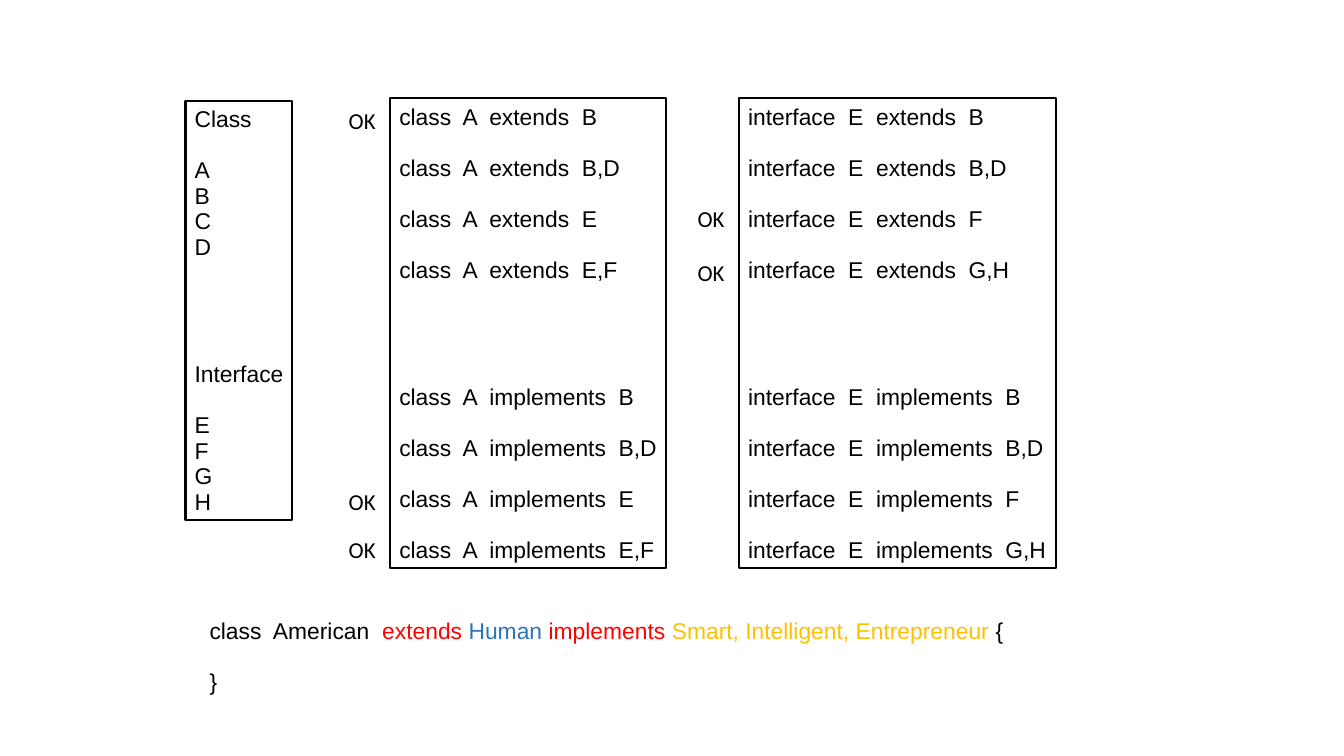
from dataclasses import dataclass

from pptx import Presentation
from pptx import util as u
from pptx.dml.color import RGBColor
from pptx.enum import shapes, text


@dataclass(frozen=True)
class Theme:
    black: str = "000000"
    red: str = "FF0000"
    blue: str = "2E75B6"
    gold: str = "FFC000"
    code_font: str = "Arial"
    mark_font: str = "Calibri"
    size: float = 16.3
    line_spacing: float = 0.93
    line_pitch: float = 18.2
    border: float = 1.45


THEME = Theme()
VERBS = ("extends", "implements")


def set_values(target, values):
    for name, value in values.items():
        setattr(target, name, value)


def write_lines(frame, lines, font_name):
    """Fill a frame from (blank lines above, [(text, colour), ...]) pairs."""
    for index, (gap, runs) in enumerate(lines):
        paragraph = frame.paragraphs[0] if index == 0 else frame.add_paragraph()
        set_values(paragraph, {
            "alignment": text.PP_ALIGN.LEFT,
            "line_spacing": THEME.line_spacing,
            "space_before": u.Pt(gap * THEME.line_pitch),
        })
        for words, colour in runs:
            run = paragraph.add_run()
            run.text = words
            set_values(run.font, {"name": font_name, "size": u.Pt(THEME.size)})
            run.font.color.rgb = RGBColor.from_string(colour)


def add_code_box(slide, box, lines):
    """Draw an outlined box holding (blank lines above, text) pairs."""
    shape = slide.shapes.add_shape(shapes.MSO_SHAPE.RECTANGLE, *map(u.Inches, box))
    shape.shadow.inherit = False
    shape.fill.background()
    shape.line.color.rgb = RGBColor.from_string(THEME.black)
    shape.line.width = u.Pt(THEME.border)
    set_values(shape.text_frame, {
        "word_wrap": False,
        "vertical_anchor": text.MSO_ANCHOR.MIDDLE,
        "margin_left": u.Inches(0.09),
        "margin_top": u.Inches(0.06),
        "margin_right": u.Inches(0.09),
        "margin_bottom": u.Inches(0.04),
    })
    coloured = [(gap, [(words, THEME.black)]) for gap, words in lines]
    write_lines(shape.text_frame, coloured, THEME.code_font)


def add_text(slide, box, lines, font_name):
    frame = slide.shapes.add_textbox(*map(u.Inches, box)).text_frame
    set_values(frame, {
        "word_wrap": False,
        "auto_size": text.MSO_AUTO_SIZE.SHAPE_TO_FIT_TEXT,
    })
    write_lines(frame, lines, font_name)


def add_name_list(slide, box):
    lines = []
    for heading, names, gap in (("Class", "ABCD", 0), ("Interface", "EFGH", 4)):
        lines.append((gap, heading))
        lines += [(1 if index == 0 else 0, name) for index, name in enumerate(names)]
    add_code_box(slide, box, lines)


def add_declarations(slide, box, subject, targets, ok_offsets):
    """List every verb and target, with OK marks left of the box."""
    left, top, width, height = box
    lines = []
    for verb in VERBS:
        for index, target in enumerate(targets):
            gap = 1 if index else 4 if lines else 0
            lines.append((gap, f"{subject}  {verb}  {target}"))
    add_code_box(slide, box, lines)
    for offset in ok_offsets:
        add_text(slide, (left - 0.51, top + offset, 0.47, 0.36),
                 [(0, [("OK", THEME.black)])], THEME.mark_font)


def add_example(slide, box):
    declaration = [
        ("class  American  ", THEME.black),
        ("extends", THEME.red),
        (" Human ", THEME.blue),
        ("implements", THEME.red),
        (" Smart, Intelligent, Entrepreneur", THEME.gold),
        (" {", THEME.black),
    ]
    add_text(slide, box, [(0, declaration), (1, [("}", THEME.black)])], THEME.code_font)


def main():
    presentation = Presentation()
    presentation.slide_width = u.Inches(13.33)
    presentation.slide_height = u.Inches(7.5)
    slide = presentation.slides.add_slide(presentation.slide_layouts[6])

    add_name_list(slide, (1.84, 1, 1.06, 4.16))
    add_declarations(slide, (3.87, 0.97, 2.74, 4.67), "class  A",
                     ("B", "B,D", "E", "E,F"), (0.06, 3.84, 4.32))
    add_declarations(slide, (7.33, 0.97, 3.14, 4.67), "interface  E",
                     ("B", "B,D", "F", "G,H"), (1.04, 1.57))
    add_example(slide, (1.98, 6.09, 8.17, 0.87))
    presentation.save("out.pptx")


if __name__ == "__main__":
    main()
